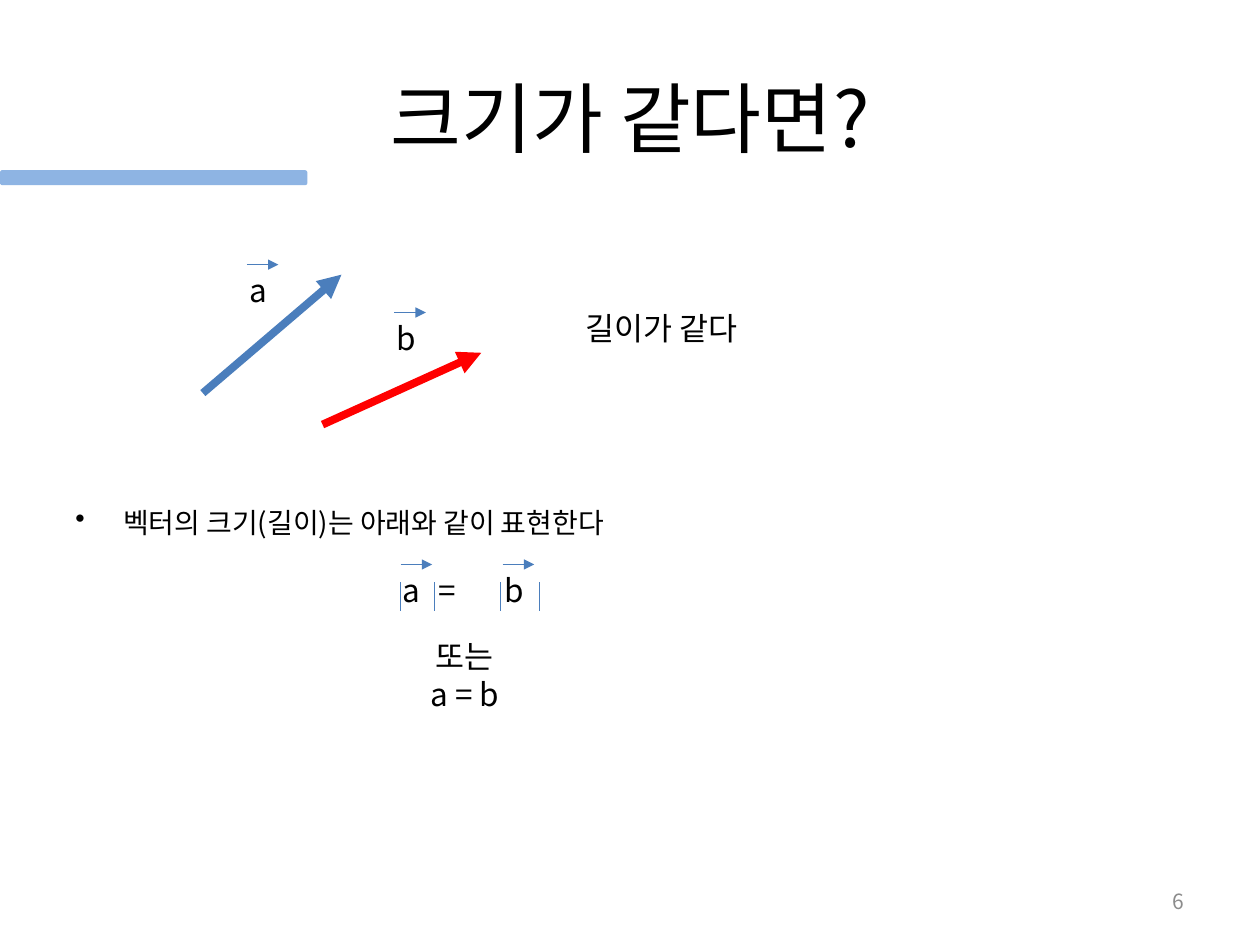
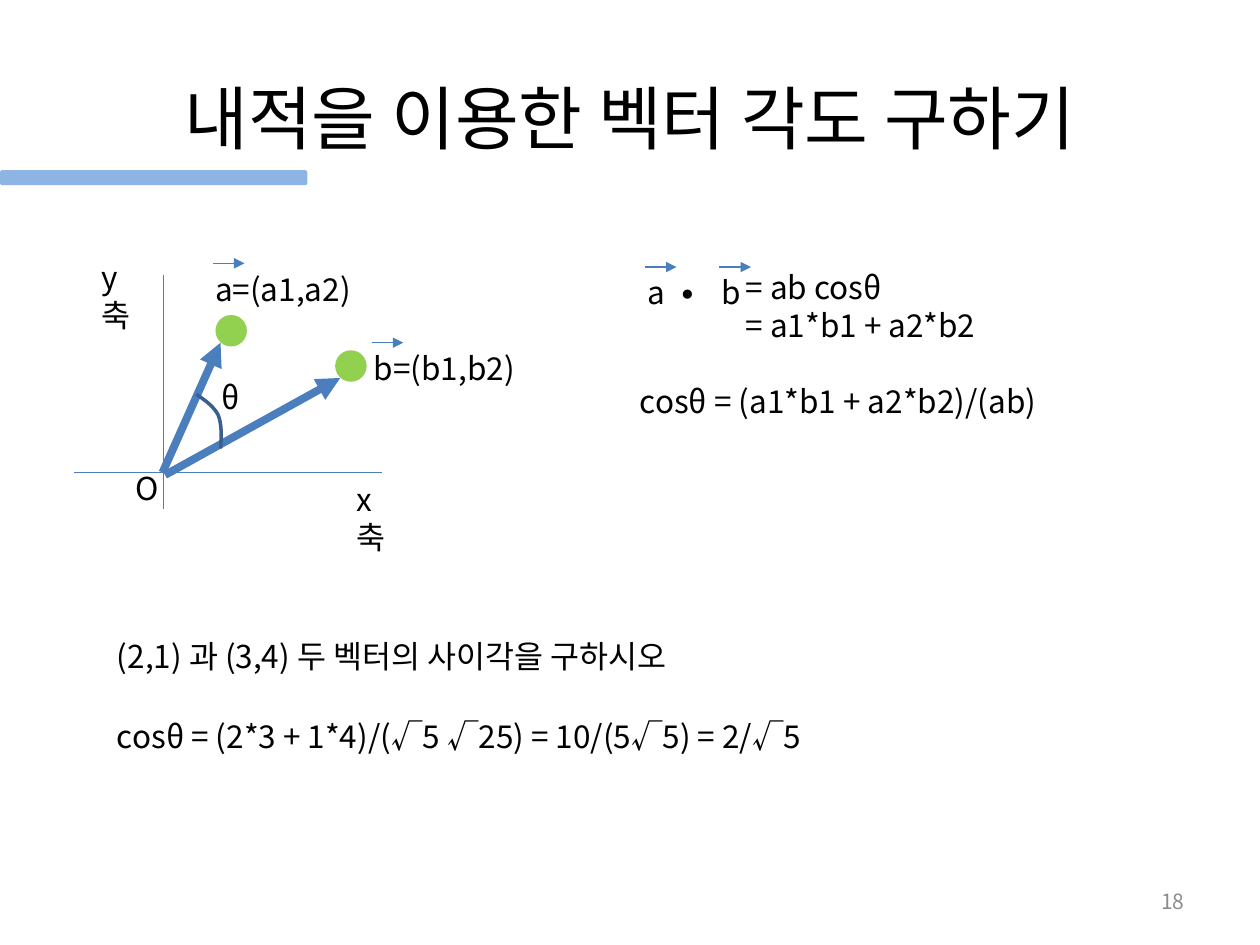
from pptx import Presentation
from pptx.dml.color import RGBColor
from pptx.enum.shapes import MSO_CONNECTOR, MSO_SHAPE
from pptx.enum.text import MSO_ANCHOR, PP_ALIGN
from pptx.oxml.ns import qn
from pptx.util import Inches, Pt
from lxml.etree import SubElement

FONT = "Noto Sans CJK KR"
BLUE = "4B7EBC"
RED = "FF0000"
PALE = "8EB4E3"
GREEN = "92D050"
DARK = "3A5F8C"
BLACK = "000000"
GRAY = "8C8C8C"
THIN, THICK = 0.75, 4.5


def color(code):
    return RGBColor.from_string(code)


def add_bullet(para):
    props = para._p.get_or_add_pPr()
    props.set("marL", str(Inches(0.38)))
    props.set("indent", str(-Inches(0.38)))
    SubElement(props, qn("a:buChar")).set("char", "•")


def add_text(slide, text, x, y, w=1, h=0.4, size=18, ink=BLACK,
             align=PP_ALIGN.LEFT, anchor=MSO_ANCHOR.TOP, bullet=False):
    box = slide.shapes.add_textbox(Inches(x), Inches(y), Inches(w), Inches(h))
    frame = box.text_frame
    frame.word_wrap = True
    frame.vertical_anchor = anchor
    for index, line in enumerate(text.split("\n")):
        para = frame.add_paragraph() if index else frame.paragraphs[0]
        para.alignment = align
        if bullet:
            add_bullet(para)
        run = para.add_run()
        run.text = line
        run.font.name = FONT
        run.font.size = Pt(size)
        run.font.color.rgb = color(ink)
        SubElement(run._r.get_or_add_rPr(), qn("a:ea")).set("typeface", FONT)


def add_line(slide, start, end, ink=BLUE, width=THIN, arrow=False):
    ends = [Inches(v) for v in (*start, *end)]
    line = slide.shapes.add_connector(MSO_CONNECTOR.STRAIGHT, *ends)
    line.line.color.rgb = color(ink)
    line.line.width = Pt(width)
    if arrow:
        SubElement(line.line._get_or_add_ln(), qn("a:tailEnd")).set("type", "triangle")
    SubElement(line._element.spPr, qn("a:effectLst"))


def add_shape(slide, kind, x, y, w, h, fill):
    shape = slide.shapes.add_shape(kind, Inches(x), Inches(y), Inches(w), Inches(h))
    shape.shadow.inherit = False
    shape.fill.solid()
    shape.fill.fore_color.rgb = color(fill)
    shape.line.fill.background()


def add_dot(slide, x, y):
    add_shape(slide, MSO_SHAPE.OVAL, x, y, 0.25, 0.25, GREEN)


def add_vector(slide, text, x, y, w=0.5):
    add_text(slide, text, x - 0.08, y, w)
    add_line(slide, (x, y), (x + 0.25, y), arrow=True)


def add_bars(slide, places, top, bottom):
    for x in places:
        add_line(slide, (x, top), (x, bottom))


def bezier(points, steps=12):
    for step in range(1, steps + 1):
        t = step / steps
        parts = ((1 - t) ** 3, 3 * t * (1 - t) ** 2, 3 * t * t * (1 - t), t ** 3)
        yield tuple(Inches(sum(k * p[axis] for k, p in zip(parts, points)))
                    for axis in (0, 1))


def add_curve(slide, points):
    first = points[0]
    path = slide.shapes.build_freeform(Inches(first[0]), Inches(first[1]), 1.0)
    for i in range(0, len(points) - 1, 3):
        path.add_line_segments(list(bezier(points[i:i + 4])), close=False)
    curve = path.convert_to_shape()
    curve.shadow.inherit = False
    curve.fill.background()
    curve.line.color.rgb = color(DARK)
    curve.line.width = Pt(2)


def add_slide(deck, title, number, size=44):
    slide = deck.slides.add_slide(deck.slide_layouts[6])
    add_text(slide, title, 0.5, 0.3, 9, 1.25, size=size,
             align=PP_ALIGN.CENTER, anchor=MSO_ANCHOR.MIDDLE)
    add_text(slide, str(number), 7.17, 6.95, 2.33, size=12, ink=GRAY,
             align=PP_ALIGN.RIGHT, anchor=MSO_ANCHOR.MIDDLE)
    add_shape(slide, MSO_SHAPE.ROUNDED_RECTANGLE, 0, 1.35, 2.44, 0.12, PALE)
    return slide


def draw_length(deck):
    slide = add_slide(deck, "크기가 같다면?", 6)
    add_line(slide, (1.61, 3.12), (2.71, 2.18), width=THICK, arrow=True)
    add_line(slide, (2.56, 3.37), (3.82, 2.8), RED, THICK, arrow=True)
    add_vector(slide, "a", 1.96, 2.1)
    add_vector(slide, "b", 3.13, 2.48)
    add_text(slide, "길이가 같다", 4.55, 2.4, 2)
    add_text(slide, "벡터의 크기(길이)는 아래와 같이 표현한다", 0.5, 3.96, 9, 1.05,
             size=16, bullet=True)
    add_vector(slide, "a", 3.18, 4.48)
    add_text(slide, "=", 3.38, 4.48, 0.5)
    add_vector(slide, "b", 3.99, 4.48)
    add_bars(slide, (3.18, 3.45, 3.97, 4.28), 4.62, 4.85)
    add_text(slide, "또는\na = b", 3.19, 5.01, 1, 0.71, align=PP_ALIGN.CENTER)


def draw_angle(deck):
    slide = add_slide(deck, "내적을 이용한 벡터 각도 구하기", 18, size=39.6)
    add_line(slide, (1.3, 2.18), (1.3, 4.04))
    add_line(slide, (0.59, 3.75), (3.03, 3.75))
    add_text(slide, "O", 0.98, 3.67, 0.5)
    add_text(slide, "x축", 2.73, 3.76, 0.5)
    add_text(slide, "y축", 0.71, 2, 0.5)
    add_dot(slide, 1.71, 2.5)
    add_dot(slide, 2.66, 2.78)
    add_line(slide, (1.29, 3.75), (1.75, 2.72), width=THICK, arrow=True)
    add_line(slide, (1.31, 3.77), (2.7, 3), width=THICK, arrow=True)
    add_vector(slide, "a=(a1,a2)", 1.69, 2.09, 1.6)
    add_vector(slide, "b=(b1,b2)", 2.95, 2.72, 1.6)
    add_curve(slide, [(1.56, 3.13), (1.63, 3.18), (1.69, 3.22), (1.73, 3.29),
                      (1.76, 3.36), (1.76, 3.46), (1.75, 3.56)])
    add_text(slide, "θ", 1.66, 2.95, 0.4)
    add_vector(slide, "a", 5.12, 2.12)
    add_text(slide, "∙", 5.28, 2.12, 0.5)
    add_vector(slide, "b", 5.71, 2.12)
    add_text(slide, "= ab cosθ\n= a1*b1 + a2*b2", 5.82, 2.08, 2.6, 0.71)
    add_text(slide, "cosθ = (a1*b1 + a2*b2)/(ab)", 4.98, 2.98, 4)
    add_text(slide, "(2,1) 과 (3,4) 두 벡터의 사이각을 구하시오", 0.83, 5.01, 7)
    add_text(slide, "cosθ = (2*3 + 1*4)/(√5 √25) = 10/(5√5) = 2/√5", 0.83, 5.64, 7)


def main():
    deck = Presentation()
    deck.slide_width = Inches(10)
    deck.slide_height = Inches(7.5)
    draw_length(deck)
    draw_angle(deck)
    deck.save("out.pptx")


if __name__ == "__main__":
    main()
